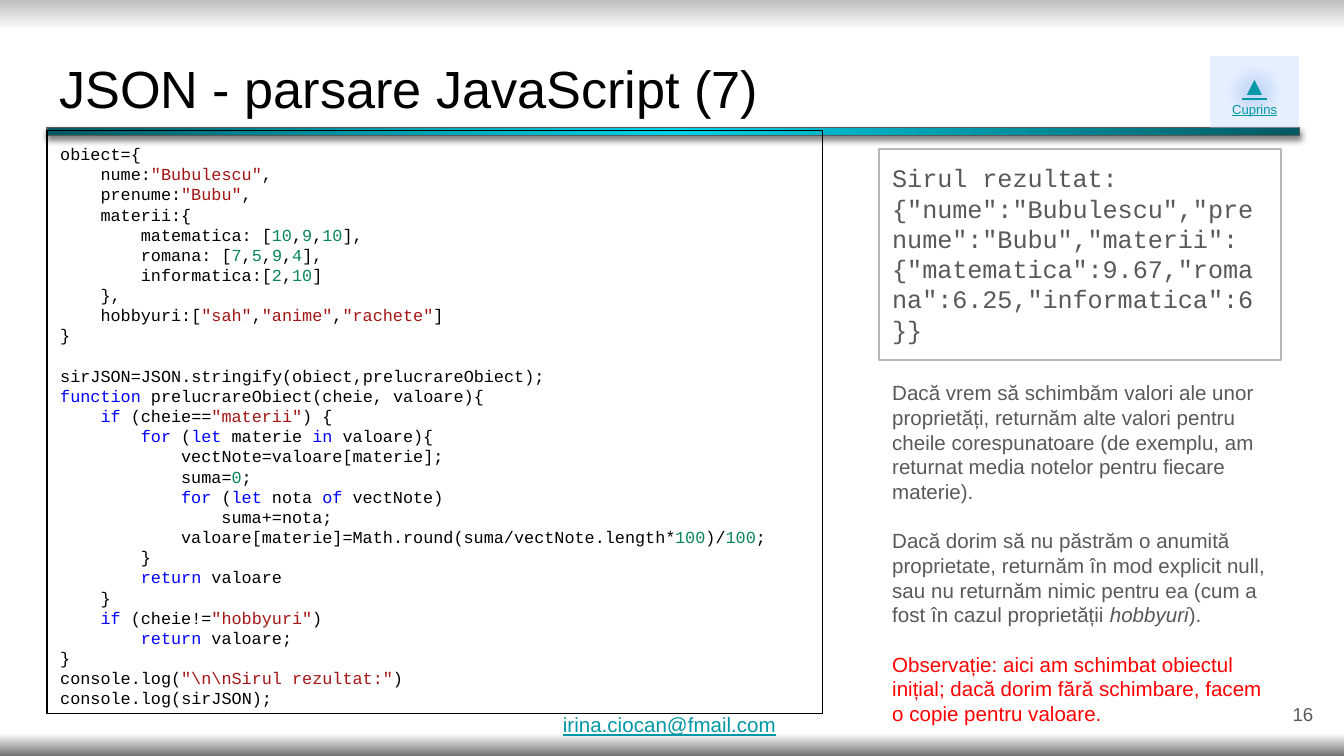
from dataclasses import dataclass
from itertools import groupby
from typing import NamedTuple

from lxml.etree import SubElement
from pptx import Presentation
from pptx.dml.color import RGBColor as RGB
from pptx.enum.shapes import MSO_SHAPE as SHAPE
from pptx.enum.text import MSO_ANCHOR as ANCHOR, PP_ALIGN as ALIGN
from pptx.oxml.ns import qn
from pptx.util import Inches, Pt


# Theme and data types
@dataclass(frozen=True)
class Theme:
    sans: str = "Arial"
    mono: str = "Courier New"
    black: str = "000000"
    grey: str = "595959"
    pale: str = "B7B7B7"
    link: str = "0097A7"
    note: str = "FF0000"
    keyword: str = "0000FF"
    string: str = "A31515"
    number: str = "098658"
    title_pt: float = 28
    arrow_pt: float = 14
    result_pt: float = 13.5
    body_pt: float = 11
    page_pt: float = 10
    code_pt: float = 9
    small_pt: float = 7
    leading: float = 1.2


T = Theme()
CELL = 0.1  # inches per grid column and row
KEYWORDS = {"function", "if", "for", "let", "in", "of", "return"}


class Box(NamedTuple):
    col: float
    row: float
    cols: float
    rows: float

    def emu(self) -> list:
        return [Inches(v * CELL) for v in self]


class Stop(NamedTuple):
    pos: int
    color: str
    alpha: int = 100


class Run(NamedTuple):
    text: str
    color: str = T.black
    size: float = T.body_pt
    font: str = T.sans
    style: dict = {}


class Para(NamedTuple):
    runs: list
    format: dict = {}
    indent: float = 0


# Drawing functions
def fill_gradient(fill, props, stops: list, angle: int | None = None) -> None:
    """Linear at the given angle, or circular from the centre without one."""
    fill.solid()
    solid = props.find(qn("a:solidFill"))
    grad = solid.makeelement(qn("a:gradFill"), {"rotWithShape": "1"})
    props.replace(solid, grad)
    gs_list = SubElement(grad, qn("a:gsLst"))
    for stop in stops:
        gs = SubElement(gs_list, qn("a:gs"), pos=str(stop.pos * 1000))
        color = SubElement(gs, qn("a:srgbClr"), val=stop.color)
        if stop.alpha < 100:
            SubElement(color, qn("a:alpha"), val=str(stop.alpha * 1000))
    if angle is None:
        circle = SubElement(grad, qn("a:path"), path="circle")
        SubElement(circle, qn("a:fillToRect"), dict.fromkeys("ltrb", "50000"))
    else:
        SubElement(grad, qn("a:lin"), ang=str(angle * 60000), scaled="0")


def add_shadow(sp) -> None:
    effects = sp._element.spPr.find(qn("a:effectLst"))
    shadow = SubElement(effects, qn("a:outerShdw"), blurRad=str(Pt(3.4)),
                        dist=str(Pt(1.5)), dir="5400000", rotWithShape="0")
    color = SubElement(shadow, qn("a:srgbClr"), val=T.black)
    SubElement(color, qn("a:alpha"), val="50000")


def add_rect(slide, box: Box, line: str | None = None):
    sp = slide.shapes.add_shape(SHAPE.RECTANGLE, *box.emu())
    sp.shadow.inherit = False
    sp.fill.background()
    if line:
        sp.line.color.rgb = RGB.from_string(line)
        sp.line.width = Pt(0.75)
    else:
        sp.line.fill.background()
    return sp


def write(sp, paras: list, inset_y: float = 1, anchor=ANCHOR.TOP) -> None:
    tf = sp.text_frame
    frame = dict(word_wrap=True, vertical_anchor=anchor,
                 margin_left=Inches(CELL), margin_right=Inches(CELL),
                 margin_top=Inches(inset_y * CELL),
                 margin_bottom=Inches(inset_y * CELL))
    for name, value in frame.items():
        setattr(tf, name, value)
    for i, para in enumerate(paras):
        p = tf.paragraphs[0] if i == 0 else tf.add_paragraph()
        for name, value in ({"alignment": ALIGN.LEFT} | para.format).items():
            setattr(p, name, value)
        if para.indent:
            p._p.get_or_add_pPr().set("marL", str(Pt(para.indent)))
        for run in para.runs:
            r = p.add_run()
            r.text = run.text
            font = dict(name=run.font, size=Pt(run.size)) | run.style
            for name, value in font.items():
                setattr(r.font, name, value)
            r.font.color.rgb = RGB.from_string(run.color)


def add_text(slide, box: Box, paras: list, **frame) -> None:
    write(slide.shapes.add_textbox(*box.emu()), paras, **frame)


def spacing(size: float, gap: bool = False) -> dict:
    """Fixed line pitch, with one empty line above when gap is set."""
    pitch = Pt(size * T.leading)
    return dict(line_spacing=pitch, space_before=pitch if gap else 0)


# Syntax colouring
def color_of(word: str) -> str:
    if word in KEYWORDS:
        return T.keyword
    return T.number if word.isdigit() else T.black


def highlight(line: str) -> list:
    tokens = []
    for i, part in enumerate(line.split('"')):
        if i % 2:
            tokens.append((f'"{part}"', T.string))
        else:
            words = ("".join(g) for _, g in groupby(part, str.isalnum))
            tokens += [(w, color_of(w)) for w in words]
    return [Run("".join(t for t, _ in group), color, T.code_pt, T.mono)
            for color, group in groupby(tokens, lambda token: token[1])]


def code_paras(source: str) -> list:
    paras, gap = [], False
    for line in source.strip().splitlines():
        code = line.lstrip()
        if code:
            indent = (len(line) - len(code)) * 0.6 * T.code_pt
            paras.append(Para(highlight(code), spacing(T.code_pt, gap), indent))
        gap = not code
    return paras


# Content
CODE = r'''
obiect={
    nume:"Bubulescu",
    prenume:"Bubu",
    materii:{
        matematica: [10,9,10],
        romana: [7,5,9,4],
        informatica:[2,10]
    },
    hobbyuri:["sah","anime","rachete"]
}

sirJSON=JSON.stringify(obiect,prelucrareObiect);
function prelucrareObiect(cheie, valoare){
    if (cheie=="materii") {
        for (let materie in valoare){
            vectNote=valoare[materie];
            suma=0;
            for (let nota of vectNote)
                suma+=nota;
            valoare[materie]=Math.round(suma/vectNote.length*100)/100;
        }
        return valoare
    }
    if (cheie!="hobbyuri")
        return valoare;
}
console.log("\n\nSirul rezultat:")
console.log(sirJSON);
'''
RESULT = ["Sirul rezultat:",
          '{"nume":"Bubulescu","prenume":"Bubu","materii":'
          '{"matematica":9.67,"romana":6.25,"informatica":6}}']
NOTES = [
    [Run("Dacă vrem să schimbăm valori ale unor proprietăți, returnăm alte "
         "valori pentru cheile corespunatoare (de exemplu, am returnat media "
         "notelor pentru fiecare materie).", T.grey)],
    [Run("Dacă dorim să nu păstrăm o anumită proprietate, returnăm în mod "
         "explicit null, sau nu returnăm nimic pentru ea (cum a fost în cazul "
         "proprietății ", T.grey),
     Run("hobbyuri", T.grey, style={"italic": True}), Run(").", T.grey)],
    [Run("Observație: aici am schimbat obiectul inițial; dacă dorim fără "
         "schimbare, facem o copie pentru valoare.", T.note)],
]
LINK = {"underline": True}
CENTER = {"alignment": ALIGN.CENTER}

prs = Presentation()
prs.slide_width, prs.slide_height = Inches(10), Inches(5.625)
slide = prs.slides.add_slide(prs.slide_layouts[5])

# Background
bg = slide.background
bg.fill.solid()
fill_gradient(bg.fill, bg._cSld.bg.bgPr, [
    Stop(0, "BFBFBF"), Stop(4, "FFFFFF"), Stop(97, "FFFFFF"), Stop(100, "737373")], 90)

# Title and bar
title = slide.shapes.title
title.left, title.top, title.width, title.height = Box(3.4, 3.2, 93.2, 6.3).emu()
write(title, [Para([Run("JSON - parsare JavaScript (7)", size=T.title_pt)])])
bar = add_rect(slide, Box(3.5, 9.5, 93.2, 0.6), T.grey)
fill_gradient(bar.fill, bar._element.spPr, [Stop(0, "00D2E9"), Stop(100, "045962")])
add_shadow(bar)

# Page number, contents button and address
add_text(slide, Box(92.7, 51, 6, 4.3),
         [Para([Run("16", T.grey, T.page_pt)], {"alignment": ALIGN.RIGHT})],
         anchor=ANCHOR.MIDDLE)
button = add_rect(slide, Box(90.1, 4.2, 6.5, 5.3))
fill_gradient(button.fill, button._element.spPr, [
    Stop(0, "4A86E8", 37), Stop(48, "BCD6FF", 37), Stop(100, "BCD6FF", 37)])
write(button, [Para([Run(text, T.link, size, style=LINK)], CENTER)
               for text, size in (("▲", T.arrow_pt), ("Cuprins", T.small_pt))])
add_text(slide, Box(40.9, 53, 18.4, 2.7),
         [Para([Run("irina.ciocan@fmail.com", T.link, style=LINK)])], inset_y=0)

# Code, result and notes
write(add_rect(slide, Box(3.5, 9.7, 57.7, 43.4), T.black), code_paras(CODE))
write(add_rect(slide, Box(65.4, 11.1, 29.9, 15.7), T.pale),
      [Para([Run(text, T.grey, T.result_pt, T.mono)], spacing(T.result_pt))
       for text in RESULT])
add_text(slide, Box(65.4, 27.3, 29.9, 27.9),
         [Para(runs, spacing(T.body_pt, i > 0)) for i, runs in enumerate(NOTES)])

prs.save("out.pptx")
